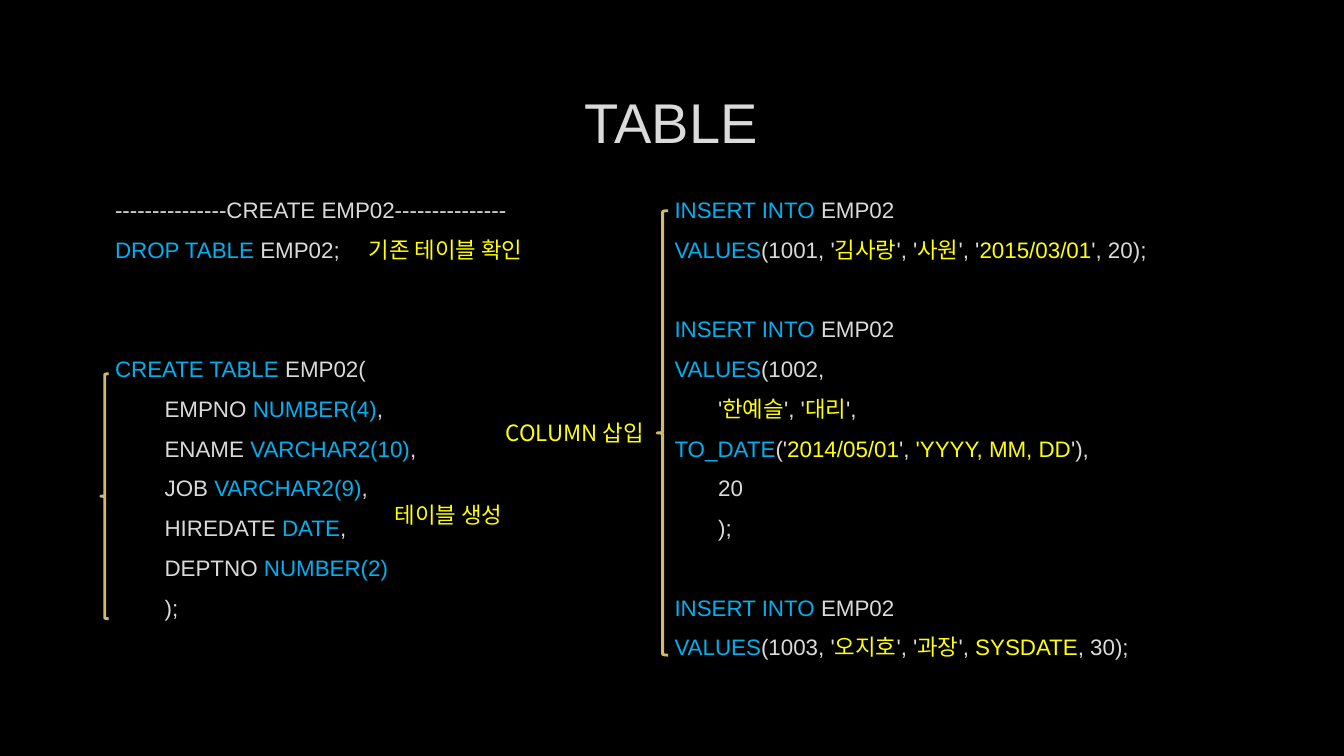
from dataclasses import dataclass

from lxml import etree
from pptx import Presentation
from pptx.dml.color import RGBColor
from pptx.enum.shapes import MSO_SHAPE
from pptx.enum.text import MSO_ANCHOR, PP_ALIGN
from pptx.oxml.ns import qn
from pptx.slide import Slide
from pptx.text.text import TextFrame, _Paragraph, _Run
from pptx.util import Cm, Pt

LEFT_BRACE = MSO_SHAPE.LEFT_BRACE
MIDDLE = MSO_ANCHOR.MIDDLE
TOP = MSO_ANCHOR.TOP
CENTER = PP_ALIGN.CENTER
LEFT = PP_ALIGN.LEFT

BLACK, PLAIN, KEYWORD, VALUE, GOLD = "000000", "DADADA", "00B0F0", "FFFF00", "D3BA68"
LATIN_FONT, KOREAN_FONT = "Arial", "Noto Sans CJK KR"
LINE_PITCH = 28.4
CODE_TOP, CODE_HEIGHT = 4.62, 12.1


@dataclass(frozen=True)
class CodeLine:
    runs: tuple[tuple[str, str], ...]
    indent: float = 0
    blank_lines_before: int = 0


@dataclass(frozen=True)
class CodeColumn:
    left: float
    width: float
    lines: tuple[CodeLine, ...]


@dataclass(frozen=True)
class Label:
    text: str
    left: float
    top: float
    width: float


@dataclass(frozen=True)
class Brace:
    left: float
    top: float
    width: float
    height: float


def column_line(name: str, data_type: str, ending: str = ",") -> CodeLine:
    return CodeLine(((f"{name} ", PLAIN), (data_type, KEYWORD), (ending, PLAIN)), 1.25)


def insert_line(blank_lines_before: int = 0) -> CodeLine:
    return CodeLine((("INSERT INTO ", KEYWORD), ("EMP02", PLAIN)), 0, blank_lines_before)


def values_line(number: int, name: str, job: str, separator: str, date: str, ending: str) -> CodeLine:
    return CodeLine((
        ("VALUES", KEYWORD), (f"({number}, '", PLAIN), (name, VALUE), ("', '", PLAIN),
        (job, VALUE), (separator, PLAIN), (date, VALUE), (ending, PLAIN),
    ))


COLUMNS = (
    CodeColumn(2.9, 13.5, (
        CodeLine((("---------------CREATE EMP02---------------", PLAIN),)),
        CodeLine((("DROP TABLE ", KEYWORD), ("EMP02;", PLAIN))),
        CodeLine((("CREATE TABLE ", KEYWORD), ("EMP02(", PLAIN)), 0, 2),
        column_line("EMPNO", "NUMBER(4)"),
        column_line("ENAME", "VARCHAR2(10)"),
        column_line("JOB", "VARCHAR2(9)"),
        column_line("HIREDATE", "DATE"),
        column_line("DEPTNO", "NUMBER(2)", ""),
        CodeLine(((");", PLAIN),), 1.25),
    )),
    CodeColumn(17.0, 14.2, (
        insert_line(),
        values_line(1001, "김사랑", "사원", "', '", "2015/03/01", "', 20);"),
        insert_line(1),
        CodeLine((("VALUES", KEYWORD), ("(1002,", PLAIN))),
        CodeLine((("'", PLAIN), ("한예슬", VALUE), ("', '", PLAIN), ("대리", VALUE), ("',", PLAIN)), 1.1),
        CodeLine((
            ("TO_DATE", KEYWORD), ("('", PLAIN), ("2014/05/01", VALUE), ("', ", PLAIN),
            ("'YYYY, MM, DD", VALUE), ("'),", PLAIN),
        )),
        CodeLine((("20", PLAIN),), 1.1),
        CodeLine(((");", PLAIN),), 1.1),
        insert_line(1),
        values_line(1003, "오지호", "과장", "', ", "SYSDATE", ", 30);"),
    )),
)
LABELS = (
    Label("기존 테이블 확인", 9.04, 5.82, 4.88),
    Label("테이블 생성", 9.7, 12.5, 3.56),
    Label("COLUMN 삽입", 12.5, 10.44, 4.27),
)
BRACES = (Brace(2.54, 9.42, 0.2, 6.17), Brace(16.56, 5.31, 0.28, 11.2))


def colour(hex_value: str) -> RGBColor:
    return RGBColor.from_string(hex_value)


def apply_format(target: object, values: dict[str, object]) -> None:
    for name, value in values.items():
        setattr(target, name, value)


def add_run(paragraph: _Paragraph, text: str, hex_value: str, size: float, font: str) -> _Run:
    run = paragraph.add_run()
    run.text = text
    apply_format(run.font, {"name": font, "size": Pt(size)})
    run.font.color.rgb = colour(hex_value)
    east_asian = etree.SubElement(run.font._element, qn("a:ea"))
    east_asian.set("typeface", KOREAN_FONT)
    return run


def add_text_frame(slide: Slide, left: float, top: float, width: float, height: float) -> TextFrame:
    return slide.shapes.add_textbox(Cm(left), Cm(top), Cm(width), Cm(height)).text_frame


def add_title(slide: Slide, text: str) -> None:
    title = slide.shapes.title
    apply_format(title, {"left": Cm(2.54), "top": Cm(1.7), "width": Cm(28.75), "height": Cm(2.7)})
    apply_format(title.text_frame, {"vertical_anchor": MIDDLE, "word_wrap": True})
    paragraph = title.text_frame.paragraphs[0]
    paragraph.alignment = CENTER
    add_run(paragraph, text, PLAIN, 40, LATIN_FONT)


def add_code(slide: Slide, column: CodeColumn) -> None:
    frame = add_text_frame(slide, column.left, CODE_TOP, column.width, CODE_HEIGHT)
    apply_format(frame, {
        "word_wrap": True, "vertical_anchor": TOP,
        "margin_left": 0, "margin_right": 0, "margin_top": 0, "margin_bottom": 0,
    })
    for index, line in enumerate(column.lines):
        paragraph = frame.add_paragraph() if index else frame.paragraphs[0]
        apply_format(paragraph, {
            "alignment": LEFT,
            "line_spacing": Pt(LINE_PITCH),
            "space_before": Pt(LINE_PITCH * line.blank_lines_before),
            "space_after": Pt(0),
        })
        paragraph._p.get_or_add_pPr().set("marL", str(Cm(line.indent)))
        for text, hex_value in line.runs:
            if text:
                add_run(paragraph, text, hex_value, 16, LATIN_FONT)


def add_label(slide: Slide, label: Label) -> None:
    frame = add_text_frame(slide, label.left, label.top, label.width, 0.94)
    frame.word_wrap = False
    add_run(frame.paragraphs[0], label.text, VALUE, 16, KOREAN_FONT)


def add_brace(slide: Slide, brace: Brace) -> None:
    shape = slide.shapes.add_shape(
        LEFT_BRACE, Cm(brace.left), Cm(brace.top), Cm(brace.width), Cm(brace.height))
    shape.shadow.inherit = False
    shape.fill.background()
    shape.line.color.rgb = colour(GOLD)
    shape.line.width = Pt(2)


def main() -> None:
    presentation = Presentation()
    apply_format(presentation, {"slide_width": Cm(33.87), "slide_height": Cm(19.05)})
    slide = presentation.slides.add_slide(presentation.slide_layouts[5])
    slide.background.fill.solid()
    slide.background.fill.fore_color.rgb = colour(BLACK)
    add_title(slide, "TABLE")
    for column in COLUMNS:
        add_code(slide, column)
    for label in LABELS:
        add_label(slide, label)
    for brace in BRACES:
        add_brace(slide, brace)
    presentation.save("out.pptx")


if __name__ == "__main__":
    main()
